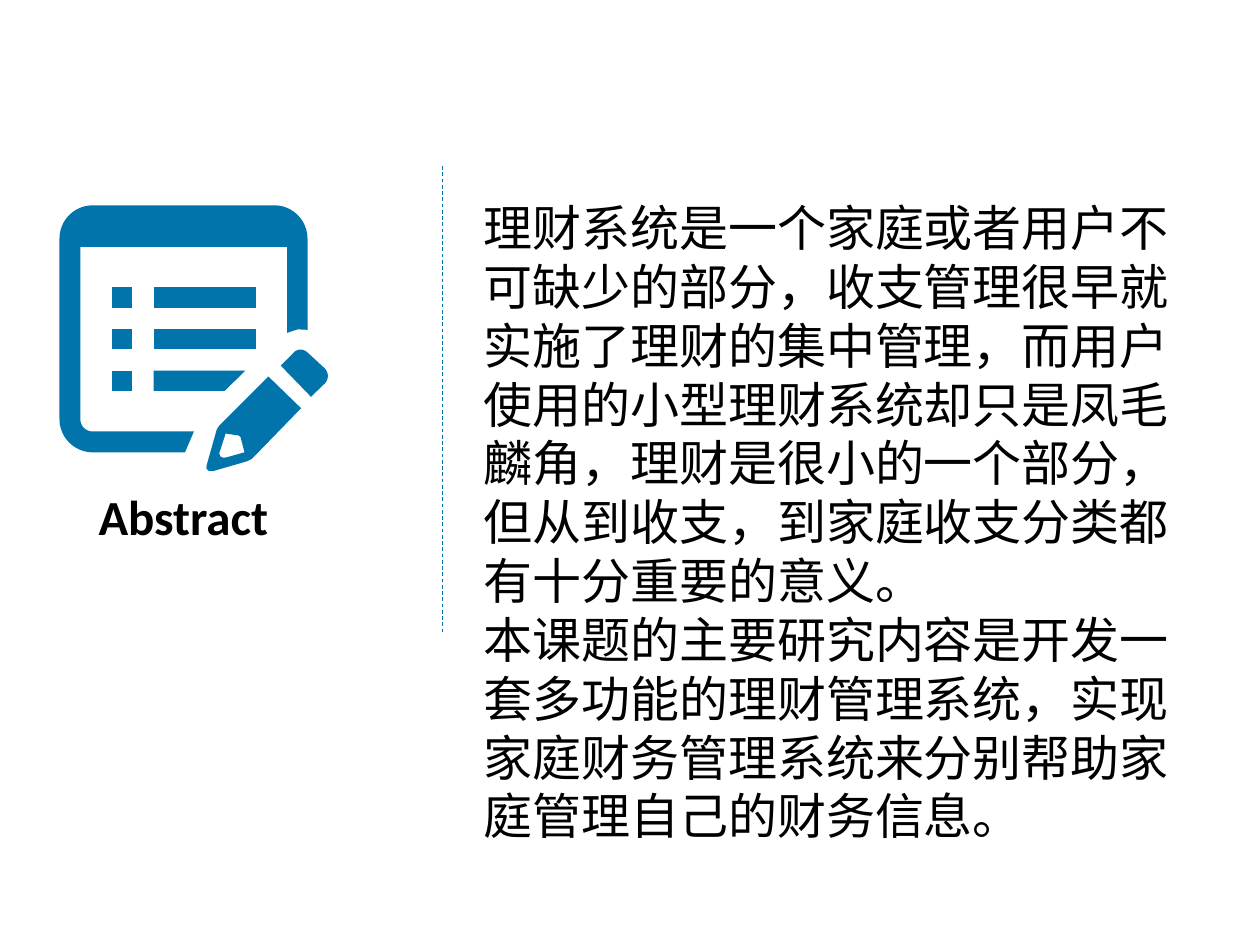
"""Build the abstract slide: a notepad icon with its label beside two paragraphs."""
from dataclasses import dataclass
from math import cos, radians, sin

from lxml import etree
from pptx import Presentation
from pptx.dml.color import RGBColor
from pptx.enum.dml import MSO_LINE
from pptx.enum.shapes import MSO_CONNECTOR
from pptx.enum.text import MSO_AUTO_SIZE, PP_ALIGN
from pptx.oxml.ns import qn
from pptx.shapes.shapetree import GroupShapes
from pptx.slide import Slide
from pptx.util import Cm, Pt

STRAIGHT = MSO_CONNECTOR.STRAIGHT
DASH = MSO_LINE.DASH
FIT_SHAPE = MSO_AUTO_SIZE.SHAPE_TO_FIT_TEXT
LEFT, CENTER = PP_ALIGN.LEFT, PP_ALIGN.CENTER
BLUE = RGBColor(0x01, 0x74, 0xAB)
BLACK = RGBColor(0, 0, 0)

Outline = list[tuple[float, float]]


@dataclass(frozen=True)
class TextBlock:
    """A text box with its place in centimetres and its style."""

    left: float
    top: float
    width: float
    height: float
    paragraphs: tuple[str, ...]
    font: str
    bold: bool
    align: PP_ALIGN


BLOCKS = (
    TextBlock(9.5, 3.86, 14.58, 13.31, (
        "理财系统是一个家庭或者用户不可缺少的部分，收支管理很早就实施了理财的集中管理，"
        "而用户使用的小型理财系统却只是凤毛麟角，理财是很小的一个部分，"
        "但从到收支，到家庭收支分类都有十分重要的意义。",
        "本课题的主要研究内容是开发一套多功能的理财管理系统，"
        "实现家庭财务管理系统来分别帮助家庭管理自己的财务信息。",
    ), "Arial", False, LEFT),
    TextBlock(0, 9.68, 7.39, 1.45, ("Abstract",), "Calibri", True, CENTER),
)

PENCIL_BODY = [(5.41, 7.59), (6.07, 8.23), (5.08, 9.25), (4.98, 9.3), (4.29, 9.5),
               (4.2, 9.49), (4.16, 9.44), (4.17, 9.37), (4.37, 8.66), (4.42, 8.58)]
PENCIL_TIP = [(4.55, 8.74), (4.42, 9.14), (4.44, 9.2), (4.5, 9.23), (4.57, 9.22),
              (4.93, 9.12), (4.85, 8.81), (4.81, 8.78)]
ROW_TOP, ROW_PITCH, ROW_HEIGHT = 5.79, 0.84, 0.41
BULLET_LEFT, BULLET_RIGHT = 2.26, 2.67
BAR_LEFT, BAR_RIGHT = 3.1, 5.16


def arc(x: float, y: float, radius: float, start: int, end: int) -> Outline:
    """Return points along a quarter circle."""
    steps = 12
    angles = [radians(start + (end - start) * i / steps) for i in range(steps + 1)]
    return [(x + radius * cos(a), y + radius * sin(a)) for a in angles]


def notepad_frame() -> Outline:
    """Return the notepad border, open where the pencil crosses it."""
    return [
        (3.91, 8.7), (3.73, 9.12),
        *arc(1.87, 8.45, 0.67, 90, 180),
        *arc(1.87, 4.81, 0.67, 180, 270),
        *arc(5.53, 4.81, 0.67, 270, 360),
        (6.2, 6.65), (6, 6.64), (5.79, 6.71), (5.79, 4.98), (1.62, 4.98),
        *arc(1.87, 8.45, 0.25, 180, 90),
    ]


def eraser() -> Outline:
    """Return the rounded end of the pencil."""
    return [(5.66, 7.37), (5.92, 7.11), *arc(6.06, 7.25, 0.2, 225, 315),
            *arc(6.39, 7.58, 0.22, 315, 405), (6.27, 8)]


def band(left: float, right: float, top: float, slant: float = 0) -> Outline:
    """Return a list mark whose lower right corner may be cut back."""
    bottom = top + ROW_HEIGHT
    return [(left, top), (right, top), (right - slant, bottom), (left, bottom)]


def add_outline(shapes: GroupShapes, *contours: Outline) -> None:
    """Draw one filled shape from closed contours."""
    scaled = [[(Cm(x), Cm(y)) for x, y in contour] for contour in contours]
    builder = shapes.build_freeform(*scaled[0][0])
    builder.add_line_segments(scaled[0][1:])
    for contour in scaled[1:]:
        builder.move_to(*contour[0])
        builder.add_line_segments(contour[1:])
    shape = builder.convert_to_shape()
    shape.shadow.inherit = False
    shape.fill.solid()
    shape.fill.fore_color.rgb = BLUE
    shape.line.fill.background()


def add_icon(page: Slide) -> None:
    """Draw the notepad, its list and the pencil as one group."""
    shapes = page.shapes.add_group_shape().shapes
    add_outline(shapes, notepad_frame())
    add_outline(shapes, PENCIL_BODY, PENCIL_TIP)
    add_outline(shapes, eraser())
    for row, (right, slant) in enumerate([(BAR_RIGHT, 0), (BAR_RIGHT, 0), (4.95, 0.42)]):
        top = ROW_TOP + row * ROW_PITCH
        add_outline(shapes, band(BULLET_LEFT, BULLET_RIGHT, top))
        add_outline(shapes, band(BAR_LEFT, right, top, slant))


def add_divider(page: Slide) -> None:
    """Draw the dashed vertical line."""
    line = page.shapes.add_connector(STRAIGHT, Cm(8.92), Cm(3.35), Cm(8.92), Cm(12.78))
    line.line.color.rgb = BLUE
    line.line.width = Pt(0.5)
    line.line.dash_style = DASH
    etree.SubElement(line._element.spPr, qn("a:effectLst"))


def add_text(page: Slide, block: TextBlock) -> None:
    """Add a wrapped text box."""
    box = page.shapes.add_textbox(
        Cm(block.left), Cm(block.top), Cm(block.width), Cm(block.height))
    frame = box.text_frame
    frame.word_wrap = True
    frame.auto_size = FIT_SHAPE
    for index, text in enumerate(block.paragraphs):
        para = frame.add_paragraph() if index else frame.paragraphs[0]
        para.alignment = block.align
        span = para.add_run()
        span.text = text
        span.font.name = block.font
        span.font.size = Pt(28)
        span.font.bold = block.bold
        span.font.color.rgb = BLACK


def main() -> None:
    """Build and save the deck."""
    deck = Presentation()
    deck.slide_width, deck.slide_height = Cm(25.4), Cm(19.05)
    page = deck.slides.add_slide(deck.slide_layouts[6])
    add_divider(page)
    add_icon(page)
    for block in BLOCKS:
        add_text(page, block)
    deck.save("out.pptx")


if __name__ == "__main__":
    main()
